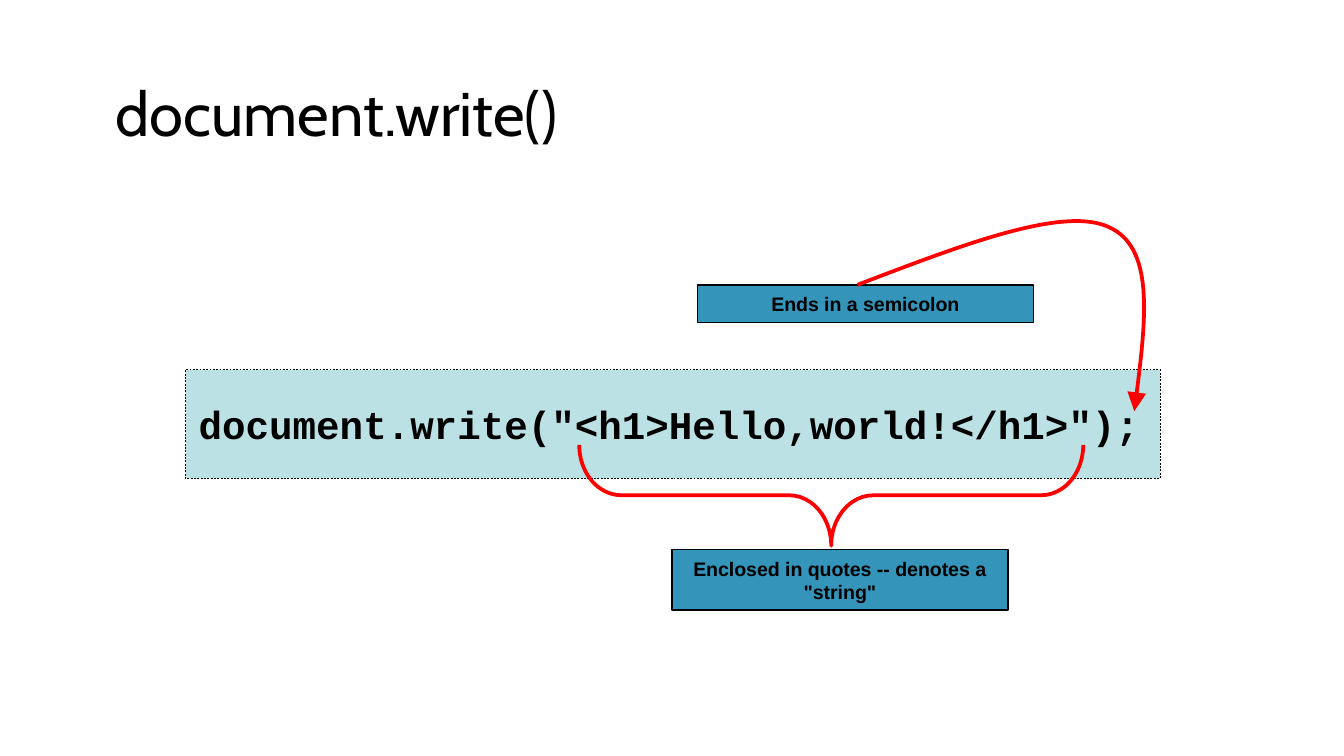
from lxml.etree import SubElement
from pptx import Presentation
from pptx.dml.color import RGBColor
from pptx.enum.dml import MSO_LINE
from pptx.enum.shapes import MSO_SHAPE
from pptx.enum.text import MSO_ANCHOR, PP_ALIGN
from pptx.oxml.ns import qn
from pptx.util import Inches, Pt

BLACK = RGBColor(0x00, 0x00, 0x00)
RED = RGBColor(0xFF, 0x00, 0x00)
BLUE = RGBColor(0x34, 0x94, 0xBA)
TEAL = RGBColor(0x58, 0xB6, 0xC0)

TITLE = "document.write()"
CODE = 'document.write("<h1>Hello,world!</h1>");'
LABELS = [
    ('Enclosed in quotes -- denotes a "string"', (5, 4.09, 2.5, 0.45)),
    ("Ends in a semicolon", (5.19, 2.12, 2.5, 0.28)),
]
CURVE = [(6.38, 2.12), (7.14, 1.83), (7.91, 1.53), (8.25, 1.69),
         (8.59, 1.84), (8.52, 2.45), (8.44, 3.06)]


def set_text(sp, text, font="Arial", size=10.5, bold=True,
             align=PP_ALIGN.CENTER, anchor=MSO_ANCHOR.MIDDLE, inset=None, before=0):
    tf = sp.text_frame
    tf.word_wrap = True
    tf.vertical_anchor = anchor
    if inset is not None:
        tf.margin_left = tf.margin_right = Inches(inset)
        tf.margin_top = tf.margin_bottom = Inches(inset)
    p = tf.paragraphs[0]
    p.alignment = align
    p.space_before = Pt(before)
    r = p.add_run()
    r.text = text
    r.font.name = font
    r.font.size = Pt(size)
    r.font.bold = bold
    r.font.color.rgb = BLACK


def style(sp, line, width, fill=None):
    sp.shadow.inherit = False
    sp.line.color.rgb = line
    sp.line.width = Pt(width)
    if fill is None:
        sp.fill.background()
    else:
        sp.fill.solid()
        sp.fill.fore_color.rgb = fill


def add_shape(s, kind, box, line, width, fill=None):
    sp = s.shapes.add_shape(kind, *map(Inches, box))
    style(sp, line, width, fill)
    return sp


def add_curved_arrow(s, points):
    start, *rest = [(Inches(x), Inches(y)) for x, y in points]
    builder = s.shapes.build_freeform(*start)
    builder.add_line_segments(rest, close=False)
    sp = builder.convert_to_shape()
    style(sp, RED, 2)
    path = next(sp.element.iter(qn("a:path")))
    segments = path.findall(qn("a:lnTo"))
    for i in range(0, len(segments), 3):
        bezier = SubElement(path, qn("a:cubicBezTo"))
        for segment in segments[i:i + 3]:
            bezier.append(segment[0])
            path.remove(segment)
    ln = sp.element.spPr.find(qn("a:ln"))
    SubElement(ln, qn("a:tailEnd"), type="triangle", w="lg", len="lg")


def main():
    prs = Presentation()
    prs.slide_width = Inches(10)
    prs.slide_height = Inches(10 * 9 / 16)
    s = prs.slides.add_slide(prs.slide_layouts[6])

    title = s.shapes.add_textbox(*map(Inches, (0.86, 0.34, 8.28, 0.77)))
    set_text(title, TITLE, font="Cabin", size=33, bold=False,
             align=PP_ALIGN.LEFT, anchor=MSO_ANCHOR.BOTTOM, inset=0)

    code = add_shape(s, MSO_SHAPE.RECTANGLE, (1.38, 2.75, 7.25, 0.81), BLACK, 0.25, TEAL)
    code.line.dash_style = MSO_LINE.DASH
    color = next(code.element.spPr.find(qn("a:solidFill")).iter(qn("a:srgbClr")))
    SubElement(color, qn("a:alpha"), val="40000")
    set_text(code, CODE, font="Courier New", size=21, align=PP_ALIGN.LEFT, before=6)

    brace = add_shape(s, MSO_SHAPE.LEFT_BRACE, (5.81, 1.81, 0.75, 3.75), RED, 2)
    brace.rotation = 270
    brace.adjustments[0] = 0.417

    for text, box in LABELS:
        set_text(add_shape(s, MSO_SHAPE.RECTANGLE, box, BLACK, 0.75, BLUE), text)

    add_curved_arrow(s, CURVE)
    prs.save("out.pptx")


if __name__ == "__main__":
    main()
